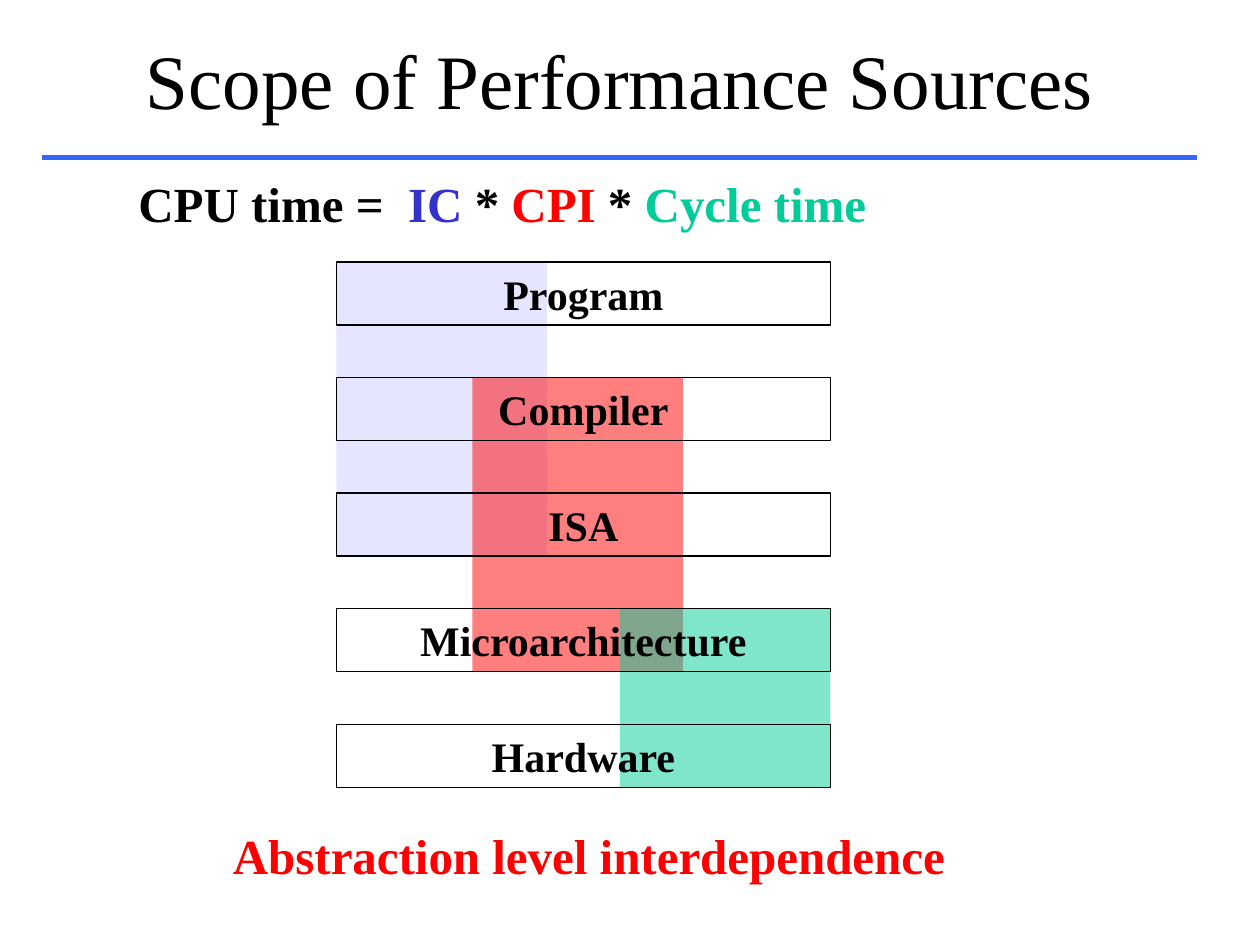
from typing import NamedTuple

from lxml import etree
from pptx import Presentation
from pptx.dml.color import RGBColor
from pptx.enum.shapes import MSO_CONNECTOR, MSO_SHAPE
from pptx.enum.text import MSO_ANCHOR, PP_ALIGN
from pptx.oxml.ns import qn
from pptx.util import Inches, Pt

RECTANGLE = MSO_SHAPE.RECTANGLE
STRAIGHT = MSO_CONNECTOR.STRAIGHT
TOP, MIDDLE = MSO_ANCHOR.TOP, MSO_ANCHOR.MIDDLE
LEFT, CENTER = PP_ALIGN.LEFT, PP_ALIGN.CENTER

BLACK = RGBColor(0x00, 0x00, 0x00)
RED = RGBColor(0xFF, 0x00, 0x00)
BLUE = RGBColor(0x33, 0x33, 0xCC)
GREEN = RGBColor(0x00, 0xCC, 0x99)
LAVENDER = RGBColor(0xCC, 0xCC, 0xFF)
RULE_BLUE = RGBColor(0x33, 0x66, 0xFF)
FONT = "Times New Roman"

LEVELS = ["Program", "Compiler", "ISA", "Microarchitecture", "Hardware"]
STACK_LEFT, STACK_TOP, STACK_WIDTH = 2.67, 2.08, 3.92
LEVEL_HEIGHT, LEVEL_STEP = 0.5, 0.917
SCOPE_WIDTH = 1.67


class Run(NamedTuple):
    text: str
    color: RGBColor


class Scope(NamedTuple):
    """The band of levels, first to last, that affects one performance factor."""
    left: float
    first: int
    last: int
    color: RGBColor


SCOPES = [
    Scope(STACK_LEFT, 0, 2, LAVENDER),
    Scope(3.75, 1, 3, RED),
    Scope(4.92, 3, 4, GREEN),
]
FORMULA = [
    Run("CPU time =  ", BLACK),
    Run("IC ", BLUE),
    Run("*", BLACK),
    Run(" CPI ", RED),
    Run("* ", BLACK),
    Run("Cycle time", GREEN),
]


def level_top(index: int) -> float:
    return STACK_TOP + index * LEVEL_STEP


def write_runs(text_frame, runs: list[Run], size: int, alignment, bold: bool = True) -> None:
    paragraph = text_frame.paragraphs[0]
    paragraph.alignment = alignment
    for item in runs:
        run = paragraph.add_run()
        run.text = item.text
        run.font.name = FONT
        run.font.size = Pt(size)
        run.font.bold = bold
        run.font.color.rgb = item.color


def add_title(slide, text: str) -> None:
    title = slide.shapes.title
    title.left, title.top = Inches(0.67), Inches(0)
    title.width, title.height = Inches(8.5), Inches(1.25)
    title.text_frame.vertical_anchor = MIDDLE
    write_runs(title.text_frame, [Run(text, BLACK)], 44, CENTER, bold=False)


def add_title_rule(slide) -> None:
    rule = slide.shapes.add_connector(
        STRAIGHT, Inches(0.33), Inches(1.25), Inches(9.5), Inches(1.25))
    rule.line.color.rgb = RULE_BLUE
    rule.line.width = Pt(3)
    etree.SubElement(rule._element.spPr, qn("a:effectLst"))


def add_rectangle(slide, left: float, top: float, width: float, height: float):
    shape = slide.shapes.add_shape(
        RECTANGLE, Inches(left), Inches(top), Inches(width), Inches(height))
    shape.shadow.inherit = False
    return shape


def add_scope(slide, scope: Scope) -> None:
    height = (scope.last - scope.first) * LEVEL_STEP + LEVEL_HEIGHT
    band = add_rectangle(slide, scope.left, level_top(scope.first), SCOPE_WIDTH, height)
    band.fill.solid()
    band.fill.fore_color.rgb = scope.color
    color_element = band._element.spPr.find(qn("a:solidFill"))[0]
    etree.SubElement(color_element, qn("a:alpha"), val="50000")
    band.line.fill.background()


def add_level(slide, index: int, name: str) -> None:
    box = add_rectangle(slide, STACK_LEFT, level_top(index), STACK_WIDTH, LEVEL_HEIGHT)
    box.fill.background()
    box.line.color.rgb = BLACK
    box.line.width = Pt(0.75)
    box.text_frame.vertical_anchor = TOP
    write_runs(box.text_frame, [Run(name, BLACK)], 24, CENTER)


def add_statement(slide, left: float, top: float, width: float, runs: list[Run]) -> None:
    box = slide.shapes.add_textbox(Inches(left), Inches(top), Inches(width), Inches(0.57))
    box.text_frame.word_wrap = True
    write_runs(box.text_frame, runs, 28, LEFT)


def main() -> None:
    presentation = Presentation()
    presentation.slide_width = Inches(10)
    presentation.slide_height = Inches(7.5)
    title_only = presentation.slide_layouts.get_by_name("Title Only")
    slide = presentation.slides.add_slide(title_only)

    add_title(slide, "Scope of Performance Sources")
    add_title_rule(slide)
    for scope in SCOPES:
        add_scope(slide, scope)
    add_statement(slide, 1.75, 6.5, 6, [Run("Abstraction level interdependence", RED)])
    for index, name in enumerate(LEVELS):
        add_level(slide, index, name)
    add_statement(slide, 1, 1.33, 6.75, FORMULA)

    presentation.save("out.pptx")


if __name__ == "__main__":
    main()
